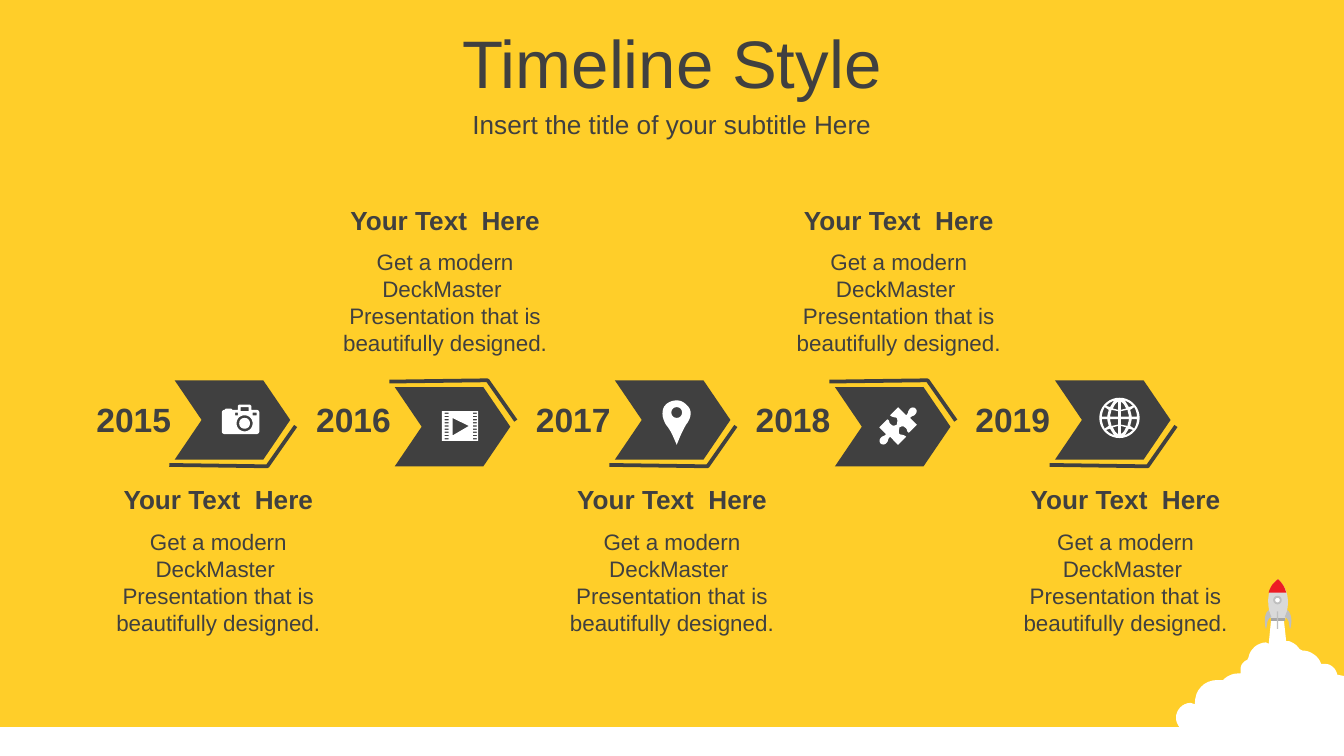
from dataclasses import dataclass
from itertools import product
from math import cos, pi, sin

from pptx import Presentation
from pptx.dml.color import RGBColor
from pptx.enum.shapes import MSO_SHAPE
from pptx.enum.text import MSO_ANCHOR, PP_ALIGN
from pptx.util import Inches, Pt

RECT, OVAL, CHEVRON = MSO_SHAPE.RECTANGLE, MSO_SHAPE.OVAL, MSO_SHAPE.CHEVRON
TOP, MIDDLE = MSO_ANCHOR.TOP, MSO_ANCHOR.MIDDLE
CENTER = PP_ALIGN.CENTER


@dataclass(frozen=True)
class Theme:
    font: str = "Arial"
    yellow: str = "FFCE29"
    dark: str = "404040"
    white: str = "FFFFFF"
    red: str = "ED1C24"
    body: str = "D9D9D9"
    band: str = "A6A6A6"
    fin: str = "BFBFBF"
    title: int = 36
    year: int = 18
    heading: int = 14
    text: int = 12


THEME = Theme()
WIDTH = 10
HEIGHT = WIDTH * 9 / 16
UNITS = 1000  # freeform units per inch
ARROW_LEFT, ARROW_PITCH = 1.3, 6.55 / 4
YEAR_LEFT, YEAR_PITCH = 0.55, 6.54 / 4
TEXT_LEFT, TEXT_PITCH = 0.63, 6.75 / 4
AXIS = 3.15
HEADING = "Your Text  Here"
BODY = "Get a modern DeckMaster  Presentation that is beautifully designed."

# Outlines: a start point, then lines (x, y) and cubic curves (6 numbers)
CLOUD = [(9.46, 4.59), (9.55, 4.59), (9.57, 4.77), (9.59, 4.77),
         (9.62, 4.78, 9.65, 4.8, 9.67, 4.83), (9.69, 4.84),
         (9.75, 4.84, 9.81, 4.88, 9.83, 4.94), (9.86, 4.94),
         (9.9, 4.94, 9.94, 4.97, 9.95, 5.02), (10, 5.03), (10, 5.61), (8.86, 5.61),
         (8.86, 5.45), (8.8, 5.45, 8.75, 5.4, 8.75, 5.34),
         (8.75, 5.28, 8.8, 5.23, 8.86, 5.23), (8.89, 5.24),
         (8.89, 5.13, 8.96, 5.06, 9.06, 5.06), (9.1, 5.06),
         (9.14, 5.02, 9.18, 5.01, 9.23, 5.01), (9.23, 4.98),
         (9.23, 4.95, 9.25, 4.92, 9.28, 4.91), (9.29, 4.89),
         (9.3, 4.83, 9.36, 4.78, 9.42, 4.78), (9.44, 4.79)]
HULL = [(9.46, 4.62), (9.44, 4.53, 9.4, 4.4, 9.51, 4.31),
        (9.62, 4.41, 9.58, 4.54, 9.56, 4.62)]
NOSE = [(9.51, 4.31), (9.54, 4.34, 9.56, 4.37, 9.57, 4.41), (9.44, 4.41),
        (9.45, 4.37, 9.47, 4.34, 9.51, 4.31)]
FIN = [(-0.07, 4.54), (-0.05, 4.59), (-0.09, 4.61, -0.08, 4.66, -0.09, 4.68),
       (-0.1, 4.65, -0.11, 4.57, -0.07, 4.54)]
PIN = [(0, -0.17), (0.03, -0.17, 0.05, -0.16, 0.07, -0.14),
       (0.12, -0.1, 0.11, -0.04, 0.07, 0.01), (0.04, 0.06, 0.03, 0.09, 0, 0.16),
       (-0.03, 0.09, -0.04, 0.06, -0.08, 0.01),
       (-0.11, -0.04, -0.12, -0.1, -0.08, -0.14),
       (-0.06, -0.16, -0.03, -0.17, 0, -0.17)]
PUZZLE_HALF = [(0.13, -0.13), (0.14, -0.12, 0.14, -0.1, 0.13, -0.09),
               (0.12, -0.07, 0.1, -0.08, 0.09, -0.06), (0.14, -0.01), (0.08, 0.05),
               (0.06, 0.04, 0.07, 0.02, 0.05, 0.01), (0.04, 0, 0.03, 0, 0.01, 0.01),
               (0.01, 0.02, 0, 0.04, 0.01, 0.06), (0.03, 0.07, 0.04, 0.06, 0.06, 0.08),
               (0, 0.14), (-0.06, 0.08), (-0.08, 0.1, -0.07, 0.11, -0.09, 0.13),
               (-0.1, 0.14, -0.12, 0.14, -0.13, 0.13)]
GLOBE_CELLS = [
    [(0.01, 0.01), (0.07, 0.01), (0.07, 0.03, 0.06, 0.04, 0.06, 0.06), (0.01, 0.05)],
    [(0.09, 0.01), (0.13, 0.01), (0.13, 0.04, 0.12, 0.06, 0.11, 0.08), (0.08, 0.06),
     (0.08, 0.05, 0.09, 0.03, 0.09, 0.01)],
    [(0.01, 0.06), (0.05, 0.07), (0.04, 0.09, 0.03, 0.11, 0.01, 0.12)],
    [(0.07, 0.08), (0.06, 0.1, 0.05, 0.11, 0.04, 0.13),
     (0.06, 0.12, 0.08, 0.11, 0.1, 0.09)]]
CAMERA = [(-0.01, -0.11), (0.07, -0.11), (0.08, -0.1), (0.08, -0.07), (0.12, -0.07),
          (0.13, -0.07, 0.14, -0.06, 0.14, -0.05), (0.14, 0.09),
          (0.14, 0.1, 0.13, 0.11, 0.12, 0.11), (-0.12, 0.11),
          (-0.13, 0.11, -0.14, 0.1, -0.14, 0.09), (-0.14, -0.05),
          (-0.14, -0.06, -0.13, -0.07, -0.12, -0.07), (-0.11, -0.08), (-0.07, -0.08),
          (-0.06, -0.07), (-0.02, -0.07), (-0.02, -0.1)]


def outline(steps, sx=1, sy=1):
    """Turn lines and cubic curves into points, mirrored by the signs."""
    points = [steps[0]]
    for step in steps[1:]:
        if len(step) == 2:
            points.append(step)
            continue
        x0, y0 = points[-1]
        x1, y1, x2, y2, x3, y3 = step
        for t in (k / 8 for k in range(1, 9)):
            a, b, c, d = (1 - t) ** 3, 3 * t * (1 - t) ** 2, 3 * t * t * (1 - t), t ** 3
            points.append((a * x0 + b * x1 + c * x2 + d * x3,
                           a * y0 + b * y1 + c * y2 + d * y3))
    return [(sx * x, sy * y) for x, y in points]


def circle(x, y, r):
    return [(x + r * cos(k * pi / 18), y + r * sin(k * pi / 18)) for k in range(36)]


def box(x, y, w, h):
    return [(x, y), (x + w, y), (x + w, y + h), (x, y + h)]


def camera():
    return [outline(CAMERA), circle(0.03, 0.03, 0.06), circle(0.03, 0.03, 0.04),
            box(0, -0.09, 0.06, 0.03), box(-0.04, -0.05, 0.02, 0.02),
            box(0.09, -0.05, 0.03, 0.02)]


def film():
    holes = [box(x, -0.1 + 0.19 / 8 * row, 0.03, 0.01)
             for x, row in product((-0.12, 0.09), range(9))]
    return [box(-0.14, -0.11, 0.27, 0.22), [(-0.06, -0.06), (-0.06, 0.07), (0.06, 0)], *holes]


def pin():
    return [outline(PIN), circle(0, -0.08, 0.04)]


def puzzle():
    return [outline(PUZZLE_HALF) + outline(PUZZLE_HALF, -1, -1)]


def globe():
    return [circle(0, 0, 0.15)] + [outline(cell, sx, sy) for cell, sx, sy
                                   in product(GLOBE_CELLS, (1, -1), (1, -1))]


def rgb(color):
    return RGBColor.from_string(color)


def paint(shape, fill=None, line=None, weight=1):
    shape.shadow.inherit = False
    if fill:
        shape.fill.solid()
        shape.fill.fore_color.rgb = rgb(fill)
    else:
        shape.fill.background()
    if line:
        shape.line.color.rgb = rgb(line)
        shape.line.width = Pt(weight)
    else:
        shape.line.fill.background()


def add_preset(s, kind, x, y, w, h, fill, line=None):
    shape = s.shapes.add_shape(kind, Inches(x), Inches(y), Inches(w), Inches(h))
    paint(shape, fill, line)
    return shape


def add_freeform(s, contours, x=0, y=0, fill=None, line=None, weight=1):
    """Draw contours around (x, y); inner contours of a fill are holes."""
    placed = [[((x + px) * UNITS, (y + py) * UNITS) for px, py in c] for c in contours]
    builder = s.shapes.build_freeform(*placed[0][0], scale=Inches(1) / UNITS)
    for i, points in enumerate(placed):
        if i:
            builder.move_to(*points[0])
        builder.add_line_segments(points[1:], close=fill is not None)
    paint(builder.convert_to_shape(), fill, line, weight)


def set_text(shape, text, size, bold=False, anchor=TOP):
    tf = shape.text_frame
    tf.word_wrap = True
    tf.vertical_anchor = anchor
    tf.text = text
    p = tf.paragraphs[0]
    p.alignment = CENTER
    p.font.name, p.font.size, p.font.bold = THEME.font, Pt(size), bold
    p.font.color.rgb = rgb(THEME.dark)


def add_text(s, x, y, w, h, *args, **kwargs):
    set_text(s.shapes.add_textbox(Inches(x), Inches(y), Inches(w), Inches(h)), *args, **kwargs)


def fill_placeholder(shape, y, h, text, size):
    shape.left, shape.top, shape.width, shape.height = 0, Inches(y), Inches(WIDTH), Inches(h)
    set_text(shape, text, size, anchor=MIDDLE)


def add_rocket(s):
    add_preset(s, RECT, 0, 5.41, WIDTH, HEIGHT - 5.41, THEME.white)
    for contour, color in ((outline(CLOUD), THEME.white), (outline(HULL), THEME.body),
                           (box(9.46, 4.6, 0.1, 0.02), THEME.band),
                           (outline(NOSE), THEME.red)):
        add_freeform(s, [contour], fill=color)
    add_preset(s, OVAL, 9.48, 4.44, 0.05, 0.05, THEME.white, THEME.fin)
    add_preset(s, RECT, 9.5, 4.55, 0.01, 0.13, THEME.fin)
    for side in (1, -1):
        add_freeform(s, [outline(FIN, side)], x=9.51, fill=THEME.fin)


def add_milestone(s, column, year, icon, icon_x, icon_y):
    above = column % 2 == 1
    x = ARROW_LEFT + column * ARROW_PITCH
    arrow = add_preset(s, CHEVRON, x, 2.88 if above else 2.83, 0.86, 0.59, THEME.dark)
    arrow.adjustments[0] = 0.34
    bracket = outline([(0.9, 0.02), (0.69, 0.32), (-0.04, 0.31)], sy=-1 if above else 1)
    add_freeform(s, [bracket], x, AXIS, line=THEME.dark, weight=2)
    add_freeform(s, icon(), x + icon_x, icon_y, fill=THEME.white)
    add_text(s, YEAR_LEFT + column * YEAR_PITCH, 2.92, 0.89, 0.4, year, THEME.year,
             bold=True, anchor=MIDDLE)

    text_x, text_y = TEXT_LEFT + column * TEXT_PITCH, 1.47 if above else 3.55
    add_text(s, text_x, text_y, 1.99, 0.34, HEADING, THEME.heading, bold=True)
    add_text(s, text_x, text_y + 0.33, 1.99, 0.91, BODY, THEME.text)


def main():
    prs = Presentation()
    prs.slide_width, prs.slide_height = Inches(WIDTH), Inches(HEIGHT)
    s = prs.slides.add_slide(prs.slide_layouts[0])
    s.background.fill.solid()
    s.background.fill.fore_color.rgb = rgb(THEME.yellow)
    fill_placeholder(s.shapes.title, 0.14, 0.63, "Timeline Style", THEME.title)
    fill_placeholder(s.placeholders[1], 0.77, 0.31,
                     "Insert the title of your subtitle Here", THEME.heading)
    add_rocket(s)
    milestones = [("2015", camera, 0.49, 3.12), ("2016", film, 0.49, 3.17),
                  ("2017", pin, 0.46, 3.15), ("2018", puzzle, 0.47, 3.17),
                  ("2019", globe, 0.48, 3.11)]
    for column, milestone in enumerate(milestones):
        add_milestone(s, column, *milestone)
    prs.save("out.pptx")


if __name__ == "__main__":
    main()
